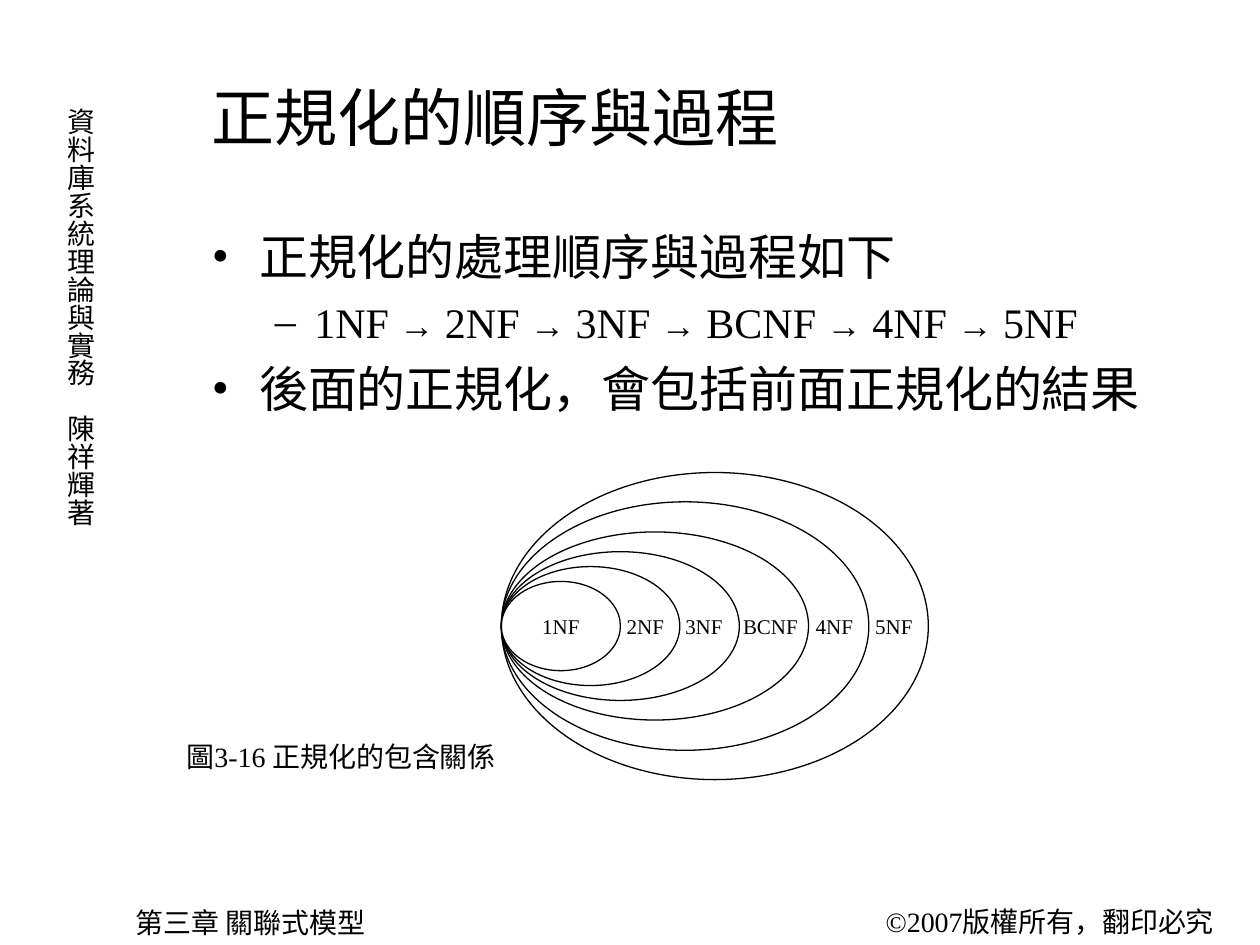
from dataclasses import dataclass

from lxml import etree
from pptx import Presentation
from pptx import util as u
from pptx.dml import color
from pptx.enum import shapes, text
from pptx.oxml import ns

Pt = u.Pt


@dataclass(frozen=True)
class Theme:
    font: str = "Times New Roman"
    ink: color.RGBColor = color.RGBColor(0, 0, 0)
    paper: color.RGBColor = color.RGBColor(255, 255, 255)
    title: int = 36
    body: int = 28
    sequence: int = 24
    arrow: int = 20
    note: int = 16
    label: int = 12


theme = Theme()


def add_run(paragraph, words, size):
    run = paragraph.add_run()
    run.text = words
    run.font.name = theme.font
    run.font.size = Pt(size)
    run.font.color.rgb = theme.ink


def add_box(left, top, width, height, words="", size=theme.note):
    box = slide.shapes.add_textbox(Pt(left), Pt(top), Pt(width), Pt(height))
    box.text_frame.word_wrap = True
    if words:
        add_run(box.text_frame.paragraphs[0], words, size)
    return box.text_frame


presentation = Presentation()
presentation.slide_width = Pt(720)
presentation.slide_height = Pt(540)
slide = presentation.slides.add_slide(presentation.slide_layouts[6])
slide.background.fill.solid()
slide.background.fill.fore_color.rgb = theme.paper

side_frame = add_box(26, 54.5, 33, 255, "資料庫系統理論與實務\u3000陳祥輝著".replace("\u3000", "　"))
side_frame.margin_left = side_frame.margin_right = Pt(3.6)
side_frame.margin_top = side_frame.margin_bottom = Pt(7.2)
side_frame._txBody.bodyPr.set("vert", "eaVert")

add_box(499, 513.5, 218, 26.5, "©2007版權所有，翻印必究")
add_box(70.5, 514, 284, 26.5, "第三章 關聯式模型")

title_frame = add_box(114, 21.5, 576, 90, "正規化的順序與過程", theme.title)
title_frame.vertical_anchor = text.MSO_ANCHOR.MIDDLE

ellipse_left, ellipse_middle = 286.5, 357.75
normal_forms = [
    ("5NF", 244, 175.5, 493),
    ("4NF", 210, 142, 459),
    ("BCNF", 175.5, 107.5, 417.5),
    ("3NF", 136, 85, 384.5),
    ("2NF", 102, 68, 351),
    ("1NF", 68, 51, None),
]
for name, width, height, label_left in normal_forms:
    ellipse = slide.shapes.add_shape(
        shapes.MSO_SHAPE.OVAL, Pt(ellipse_left), Pt(ellipse_middle - height / 2),
        Pt(width), Pt(height))
    ellipse.shadow.inherit = False
    ellipse.fill.solid()
    ellipse.fill.fore_color.rgb = theme.paper
    ellipse.line.color.rgb = theme.ink
    ellipse.line.width = Pt(0.75)
    if label_left is None:
        ellipse.text_frame.word_wrap = False
        ellipse.text_frame.vertical_anchor = text.MSO_ANCHOR.MIDDLE
        paragraph = ellipse.text_frame.paragraphs[0]
        paragraph.alignment = text.PP_ALIGN.CENTER
        add_run(paragraph, name, theme.label)
    else:
        add_box(label_left, 347.25, 48, 21.5, name, theme.label)

sequence_runs = []
for name in ["1NF", "2NF", "3NF", "BCNF", "4NF"]:
    sequence_runs += [(name + " ", theme.sequence), ("→", theme.arrow), (" ", theme.sequence)]
sequence_runs.append(("5NF", theme.sequence))

body_paragraphs = [
    (0, [("正規化的處理順序與過程如下", theme.body)]),
    (1, sequence_runs),
    (0, [("後面的正規化，會包括前面正規化的結果", theme.body)]),
]
levels = [("•", 27, -27, 7), ("–", 58.5, -22.5, 6)]
body_frame = add_box(114, 126, 576, 356.5)
for index, (level, runs) in enumerate(body_paragraphs):
    paragraph = body_frame.add_paragraph() if index else body_frame.paragraphs[0]
    bullet, margin, indent, space = levels[level]
    paragraph.level = level
    properties = paragraph._p.get_or_add_pPr()
    properties.set("marL", str(Pt(margin)))
    properties.set("indent", str(Pt(indent)))
    bullet_color = etree.SubElement(properties, ns.qn("a:buClr"))
    etree.SubElement(bullet_color, ns.qn("a:srgbClr"), val=str(theme.ink))
    etree.SubElement(properties, ns.qn("a:buFont"), typeface=theme.font)
    etree.SubElement(properties, ns.qn("a:buChar"), char=bullet)
    if index:
        paragraph.space_before = Pt(space)
    for words, size in runs:
        add_run(paragraph, words, size)

add_box(99.5, 419, 193, 46, "圖3-16 正規化的包含關係")

presentation.save("out.pptx")
